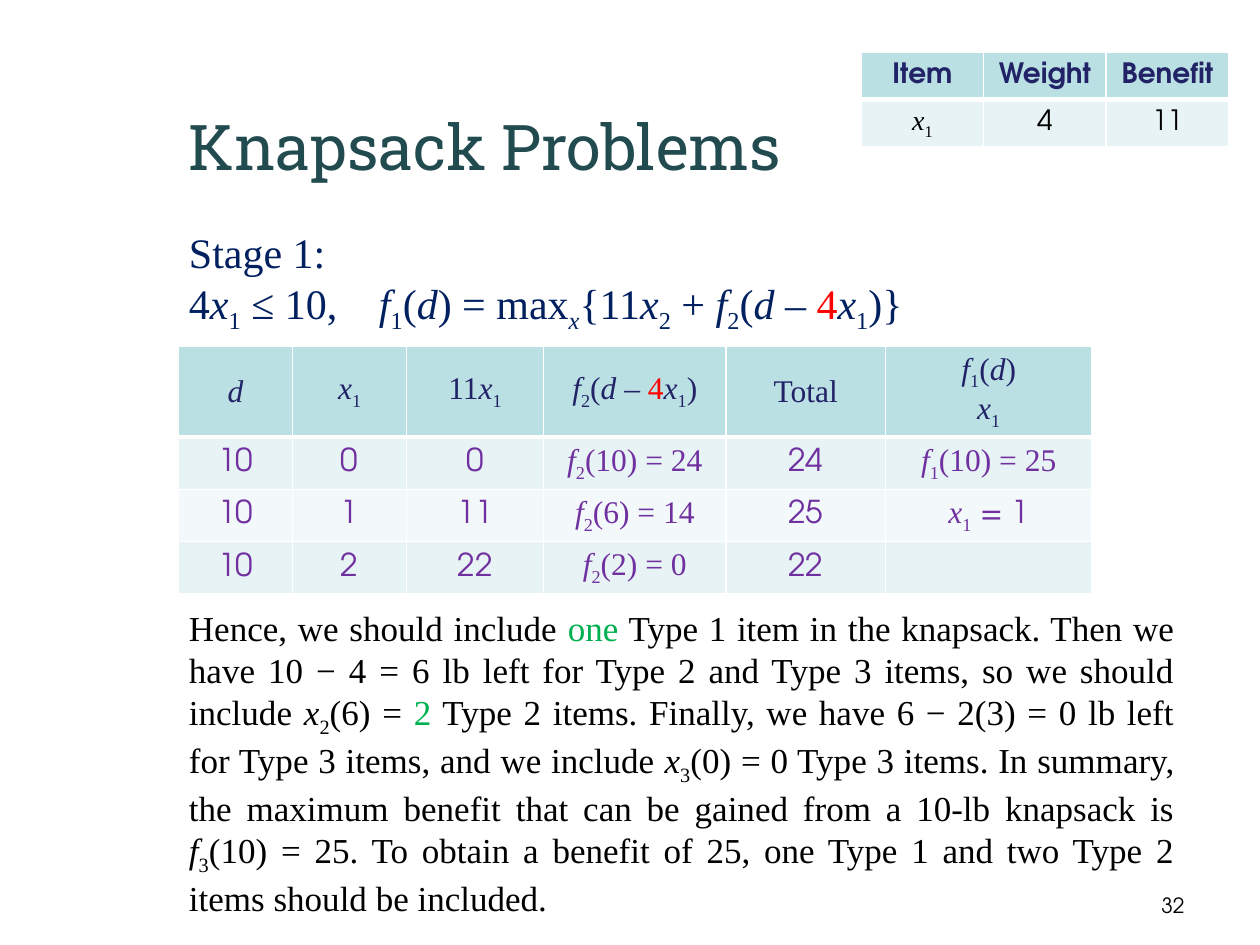
"""Build the Knapsack Problems slide for stage 1."""
from dataclasses import dataclass
from typing import NamedTuple, Optional

import lxml.etree
import pptx
import pptx.dml.color
import pptx.enum.text
import pptx.oxml.ns
import pptx.util

Cm = pptx.util.Cm
Pt = pptx.util.Pt
RGBColor = pptx.dml.color.RGBColor
Align = pptx.enum.text.PP_ALIGN
Anchor = pptx.enum.text.MSO_ANCHOR
qn = pptx.oxml.ns.qn

BLACK = RGBColor(0x00, 0x00, 0x00)
WHITE = RGBColor(0xFF, 0xFF, 0xFF)
TEAL = RGBColor(0x22, 0x4B, 0x50)
NAVY = RGBColor(0x00, 0x20, 0x60)
INDIGO = RGBColor(0x22, 0x22, 0x67)
PURPLE = RGBColor(0x70, 0x30, 0xA0)
RED = RGBColor(0xFF, 0x00, 0x00)
GREEN = RGBColor(0x00, 0xB0, 0x50)
HEADER_FILL = RGBColor(0xBB, 0xE0, 0xE3)
BAND_FILLS = (RGBColor(0xE7, 0xF3, 0xF4), RGBColor(0xF3, 0xF9, 0xFA))

SERIF = "Times New Roman"
SANS = "TeX Gyre Adventor"
SLAB = "Roboto Slab"


class Run(NamedTuple):
    text: str
    italic: bool = False
    subscript: bool = False
    color: Optional[RGBColor] = None
    font: Optional[str] = None


class Style(NamedTuple):
    font: str
    size: int
    color: RGBColor
    bold: bool = False
    align: Align = Align.LEFT


@dataclass
class Line:
    runs: list[Run]
    style: Style
    space_before: float = 0
    tab: Optional[int] = None


@dataclass
class Box:
    left: float
    top: float
    width: float
    height: float
    lines: list[Line]
    anchor: Anchor = Anchor.TOP


@dataclass
class Grid:
    left: float
    top: float
    columns: list[float]
    rows: list[float]
    cells: list[list[list[Line]]]


def indexed(name: str, index: str) -> list[Run]:
    return [Run(name, italic=True), Run(index, subscript=True)]


def write_lines(text_frame, lines: list[Line]) -> None:
    for number, line in enumerate(lines):
        paragraph = text_frame.add_paragraph() if number else text_frame.paragraphs[0]
        style = line.style
        paragraph.alignment = style.align
        paragraph.space_before = Pt(line.space_before)
        if line.tab:
            tabs = lxml.etree.SubElement(paragraph._p.get_or_add_pPr(), qn("a:tabLst"))
            lxml.etree.SubElement(tabs, qn("a:tab"), pos=str(line.tab), algn="l")
        paragraph.font.name = style.font
        paragraph.font.size = Pt(style.size)
        paragraph.font.bold = style.bold
        paragraph.font.color.rgb = style.color
        for part in line.runs:
            run = paragraph.add_run()
            run.text = part.text
            if part.italic:
                run.font.italic = True
            if part.color is not None:
                run.font.color.rgb = part.color
            if part.font:
                run.font.name = part.font
            if part.subscript:
                run._r.get_or_add_rPr().set("baseline", "-25000")


def draw_box(slide, box: Box) -> None:
    shape = slide.shapes.add_textbox(Cm(box.left), Cm(box.top), Cm(box.width), Cm(box.height))
    shape.text_frame.word_wrap = True
    shape.text_frame.vertical_anchor = box.anchor
    write_lines(shape.text_frame, box.lines)


def set_borders(cell, bottom: int) -> None:
    properties = cell._tc.get_or_add_tcPr()
    for side, width in (("lnL", 1), ("lnR", 1), ("lnT", 1), ("lnB", bottom)):
        border = lxml.etree.SubElement(properties, qn(f"a:{side}"), w=str(Pt(width)))
        fill = lxml.etree.SubElement(border, qn("a:solidFill"))
        lxml.etree.SubElement(fill, qn("a:srgbClr"), val=str(WHITE))


def draw_grid(slide, grid: Grid) -> None:
    table = slide.shapes.add_table(
        len(grid.rows), len(grid.columns), Cm(grid.left), Cm(grid.top),
        Cm(sum(grid.columns)), Cm(sum(grid.rows))).table
    table.first_row = table.horz_banding = False
    for column, width in zip(table.columns, grid.columns):
        column.width = Cm(width)
    for row, (height, contents) in enumerate(zip(grid.rows, grid.cells)):
        table.rows[row].height = Cm(height)
        for column, lines in enumerate(contents):
            cell = table.cell(row, column)
            cell.vertical_anchor = Anchor.MIDDLE
            cell.margin_top = cell.margin_bottom = Cm(0.08 if row else 0.05)
            set_borders(cell, 1 if row else 3)
            cell.fill.solid()
            cell.fill.fore_color.rgb = BAND_FILLS[(row - 1) % 2] if row else HEADER_FILL
            write_lines(cell.text_frame, lines)


ITEM_HEADER = Style(SANS, 16, INDIGO, True, Align.CENTER)
ITEM_SERIF = Style(SERIF, 16, BLACK, align=Align.CENTER)
ITEM_SANS = ITEM_SERIF._replace(font=SANS)
STAGE_HEADER = Style(SERIF, 18, INDIGO, align=Align.CENTER)
STAGE_SERIF = STAGE_HEADER._replace(color=PURPLE)
STAGE_SANS = STAGE_SERIF._replace(font=SANS)
FORMULA = Style(SERIF, 24, NAVY)
CONCLUSION = Style(SERIF, 20, BLACK, align=Align.JUSTIFY)

REMAINDER = [*indexed("f", "2"), Run("("), Run("d ", italic=True), Run("– "),
             Run("4", color=RED), *indexed("x", "1")]
FIRST_VALUE = [*indexed("f", "1"), Run("("), Run("d", italic=True), Run(")")]


def stage_row(numbers: str, state: str, answer: list[Run]) -> list[list[Line]]:
    *choice, total = [[Line([Run(number)], STAGE_SANS)] for number in numbers.split()]
    value = [Line([*indexed("f", "2"), Run(state)], STAGE_SERIF)]
    return [*choice, value, total, [Line(answer, STAGE_SERIF)]]


BOXES = [
    Box(18.21, 17.86, 5.92, 0.89, [Line([Run("32")], Style(SANS, 12, BLACK, align=Align.RIGHT))]),
    Box(3.56, 1.92, 19.69, 2.03, [Line([Run("Knapsack Problems")], Style(SLAB, 36, TEAL))],
        Anchor.MIDDLE),
    Box(3.56, 4.45, 20.37, 12.57, [
        Line([Run("Stage 1:")], FORMULA),
        Line([Run("4"), *indexed("x", "1"), Run(" ≤ 10,\t"),
              *FIRST_VALUE, Run(" = max"), Run("x", italic=True, subscript=True), Run("{11"),
              *indexed("x", "2"), Run(" + "), *REMAINDER, Run(")}")],
             FORMULA, tab=Cm(3.83)),
        Line([Run("Hence, we should include "), Run("one", color=GREEN),
              Run(" Type 1 item in the knapsack. Then we have 10 − 4 = 6 lb left for Type 2 "
                  "and Type 3 items, so we should include "),
              *indexed("x", "2"), Run("(6) = "), Run("2", color=GREEN),
              Run(" Type 2 items. Finally, we have 6 − 2(3) = 0 lb left for Type 3 items, "
                  "and we include "),
              *indexed("x", "3"),
              Run("(0) = 0 Type 3 items. In summary, the maximum benefit that can be gained "
                  "from a 10-lb knapsack is "),
              *indexed("f", "3"),
              Run("(10) = 25. To obtain a benefit of 25, one Type 1 and two Type 2 items "
                  "should be included.")],
             CONCLUSION, space_before=155.5),
    ]),
]

GRIDS = [
    Grid(17.36, 1.06, [2.47] * 3, [0.95] * 2, [
        [[Line([Run(name)], ITEM_HEADER)] for name in ("Item", "Weight", "Benefit")],
        [[Line(indexed("x", "1"), ITEM_SERIF)],
         *([Line([Run(number)], ITEM_SANS)] for number in ("4", "11"))],
    ]),
    Grid(3.6, 6.98, [2.3, 2.3, 2.76, 3.68, 3.21, 4.17], [1.83] + [1.05] * 3, [
        [[Line(runs, STAGE_HEADER) for runs in heading] for heading in (
            [[Run("d", italic=True)]],
            [indexed("x", "1")],
            [[Run("11"), *indexed("x", "1")]],
            [[*REMAINDER, Run(")")]],
            [[Run("Total")]],
            [FIRST_VALUE, indexed("x", "1")])],
        stage_row("10 0 0 24", "(10) = 24", [*indexed("f", "1"), Run("(10) = 25")]),
        stage_row("10 1 11 25", "(6) = 14", [*indexed("x", "1"), Run(" = 1", font=SANS)]),
        stage_row("10 2 22 22", "(2) = 0", []),
    ]),
]


def main() -> None:
    presentation = pptx.Presentation()
    presentation.slide_width = Cm(25.4)
    presentation.slide_height = Cm(19.05)
    slide = presentation.slides.add_slide(presentation.slide_layouts[6])
    for box in BOXES:
        draw_box(slide, box)
    for grid in GRIDS:
        draw_grid(slide, grid)
    presentation.save("out.pptx")


if __name__ == "__main__":
    main()
